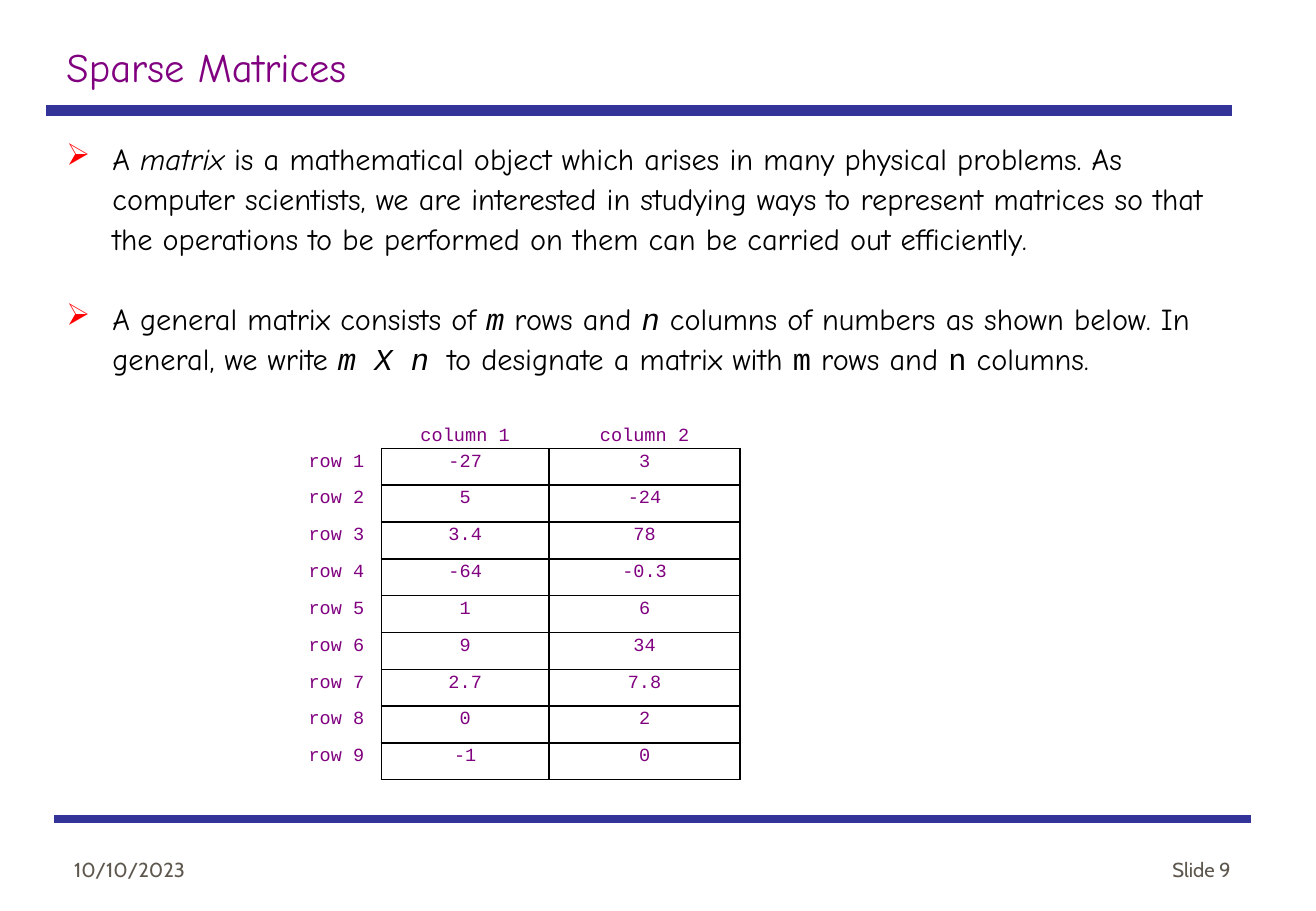
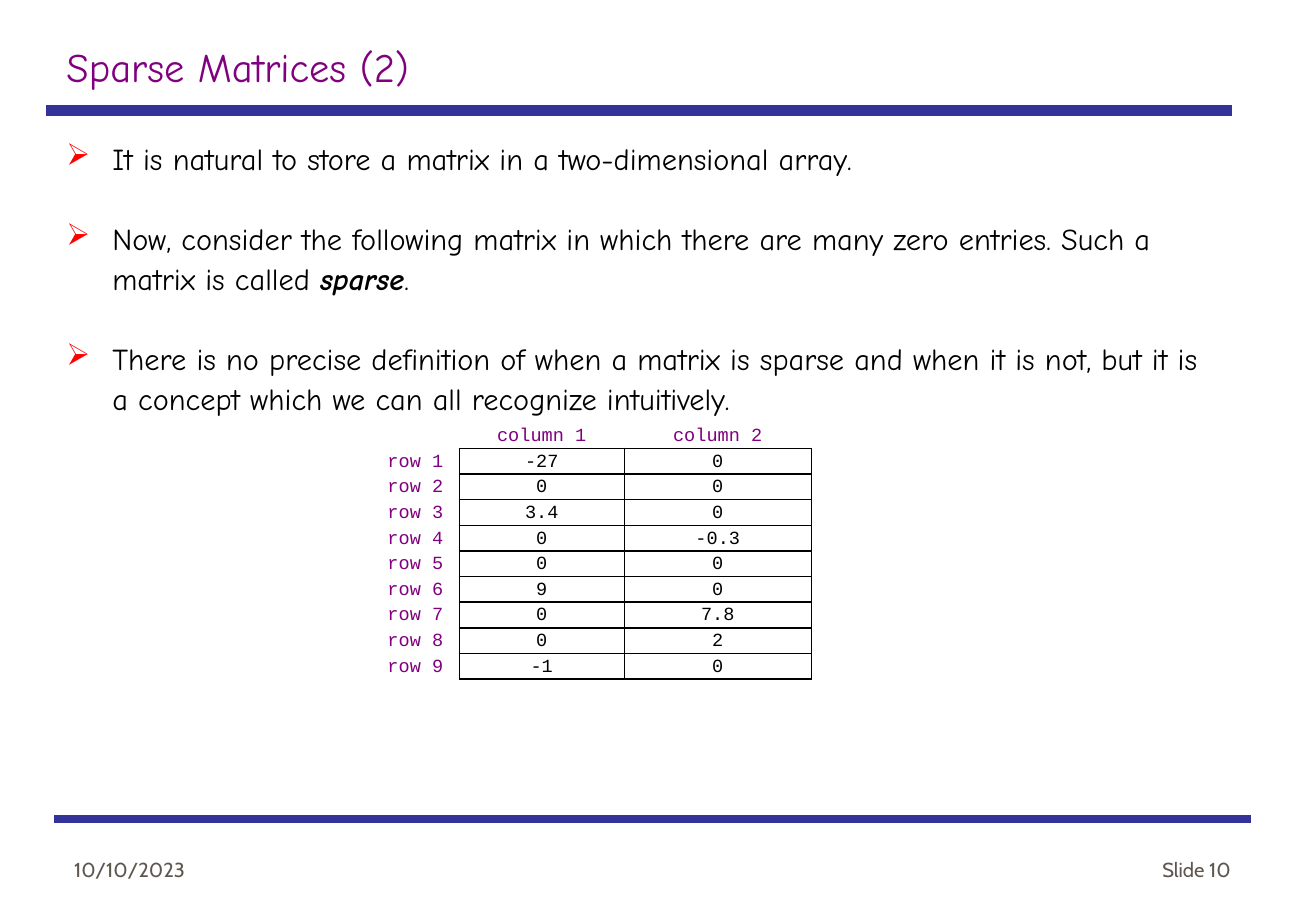
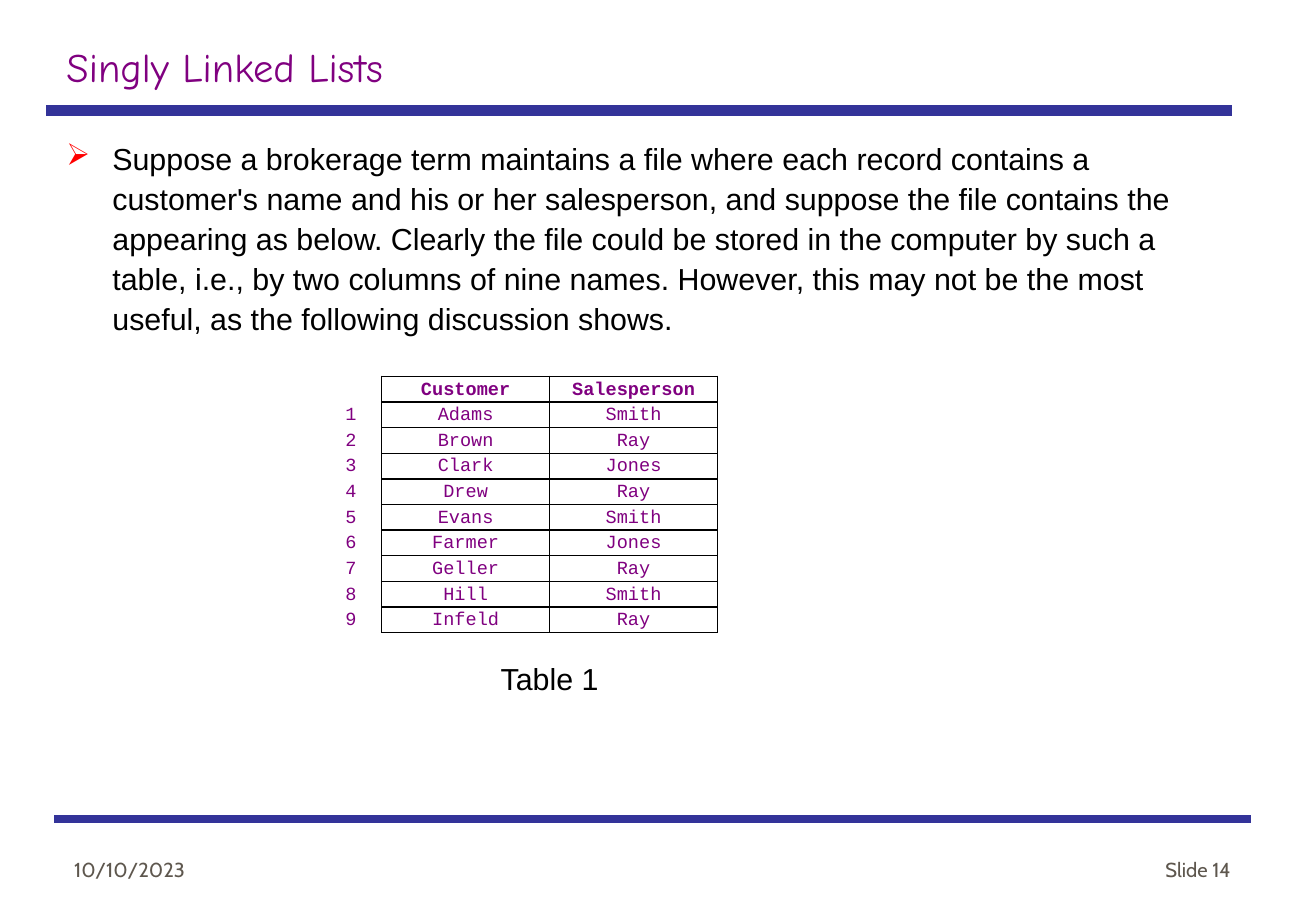
from dataclasses import dataclass
from typing import Any, NamedTuple

from lxml.etree import SubElement
from pptx import Presentation
from pptx.dml.color import RGBColor
from pptx.enum.shapes import MSO_CONNECTOR
from pptx.enum.text import MSO_ANCHOR, PP_ALIGN
from pptx.oxml import parse_xml
from pptx.oxml.ns import nsdecls, qn
from pptx.util import Cm, Pt

PURPLE = RGBColor(0x80, 0x00, 0x80)
BLACK = RGBColor(0x00, 0x00, 0x00)
BLUE = RGBColor(0x33, 0x33, 0x99)
GREY = RGBColor(0x5E, 0x57, 0x4E)
RED = RGBColor(0xFF, 0x00, 0x00)

HAND = "Comic Neue"
MONO = "Courier New"
SANS = "Arial"

TITLE = {"name": HAND, "size": Pt(24), "color": PURPLE}
BODY = {"name": HAND, "size": Pt(18), "color": BLACK}
FOOTER = {"name": "Cabin", "size": Pt(12), "color": GREY}
CELL = {"name": MONO, "size": Pt(11), "bold": False, "color": PURPLE}

BODY_LINE = Pt(23.75)
BULLET_INDENT = Cm(0.96)
DATE = "10/10/2023"


class Area(NamedTuple):
    left: float
    top: float
    width: float
    height: float


class Rule(NamedTuple):
    left: float
    right: float
    top: float
    weight: float


class Span(NamedTuple):
    text: str
    style: dict[str, Any] = {}


TITLE_AREA = Area(1.14, 0.75, 23.4, 1.27)
BODY_AREA = Area(1.14, 2.72, 24.6, 10)
DATE_AREA = Area(1.3, 17.3, 5.74, 1.27)
NUMBER_AREA = Area(20.24, 17.3, 5.74, 1.27)
RULES = [Rule(0.97, 25.76, 2.31, 6), Rule(1.14, 26.16, 17.12, 4.5)]

ITALIC_MONO = {"name": MONO, "italic": True}


@dataclass
class Grid:
    left: float
    top: float
    widths: list[float]
    rows: list[list[str]]
    row_height: float = 0.51
    header_framed: bool = False
    value_color: RGBColor = PURPLE


@dataclass
class Topic:
    number: int
    title: str
    bullets: list[list[Span]]
    grid: Grid
    caption: str = ""


def numbered(header: list[str], prefix: str, pairs: list[tuple[str, str]]) -> list[list[str]]:
    return [["", *header]] + [[f"{prefix}{row}", *pair] for row, pair in enumerate(pairs, 1)]


COLUMNS = ["column 1", "column 2"]

TOPICS = [
    Topic(
        9,
        "Sparse Matrices",
        [
            [
                Span("A "),
                Span("matrix", {"italic": True}),
                Span(" is a mathematical object which arises in many physical problems. "
                     "As computer scientists, we are interested in studying ways to represent "
                     "matrices so that the operations to be performed on them can be carried "
                     "out efficiently."),
            ],
            [
                Span("A general matrix consists of "),
                Span("m", ITALIC_MONO),
                Span(" rows and "),
                Span("n", ITALIC_MONO),
                Span(" columns of numbers as shown below. In general, we write "),
                Span("m X n ", ITALIC_MONO),
                Span("to designate a matrix with "),
                Span("m", {"name": MONO}),
                Span(" rows and "),
                Span("n", {"name": MONO}),
                Span(" columns."),
            ],
        ],
        Grid(6.27, 8.84, [1.7, 3.51, 3.99], numbered(COLUMNS, "row ", [
            ("-27", "3"), ("5", "-24"), ("3.4", "78"), ("-64", "-0.3"), ("1", "6"),
            ("9", "34"), ("2.7", "7.8"), ("0", "2"), ("-1", "0"),
        ]), row_height=0.77),
    ),
    Topic(
        10,
        "Sparse Matrices (2)",
        [
            [Span("It is natural to store a matrix in a two-dimensional array.")],
            [
                Span("Now, consider the following matrix in which there are many zero "
                     "entries. Such a matrix is called "),
                Span("sparse", {"bold": True, "italic": True}),
                Span("."),
            ],
            [Span("There is no precise definition of when a matrix is sparse and when it is "
                  "not, but it is a concept which we can all recognize intuitively.")],
        ],
        Grid(7.92, 8.84, [1.68, 3.45, 3.91], numbered(COLUMNS, "row ", [
            ("-27", "0"), ("0", "0"), ("3.4", "0"), ("0", "-0.3"), ("0", "0"),
            ("9", "0"), ("0", "7.8"), ("0", "2"), ("-1", "0"),
        ]), value_color=BLACK),
    ),
    Topic(
        14,
        "Singly Linked Lists",
        [
            [Span("Suppose a brokerage term maintains a file where each record contains a "
                  "customer's name and his or her salesperson, and suppose the file contains "
                  "the appearing as below. Clearly the file could be stored in the computer "
                  "by such a table, i.e., by two columns of nine names. However, this may not "
                  "be the most useful, as the following discussion shows.", {"name": SANS})],
        ],
        Grid(7.04, 7.87, [0.94, 3.51, 3.51], numbered(["Customer", "Salesperson"], "", [
            ("Adams", "Smith"), ("Brown", "Ray"), ("Clark", "Jones"), ("Drew", "Ray"),
            ("Evans", "Smith"), ("Farmer", "Jones"), ("Geller", "Ray"), ("Hill", "Smith"),
            ("Infeld", "Ray"),
        ]), header_framed=True),
        "Table 1",
    ),
]


def add_span(para: Any, text: str, style: dict[str, Any]) -> None:
    span = para.add_run()
    span.text = text
    for name, value in style.items():
        if name == "color":
            span.font.color.rgb = value
        else:
            setattr(span.font, name, value)


def add_box(page: Any, area: Area, anchor: MSO_ANCHOR = MSO_ANCHOR.TOP) -> Any:
    frame = page.shapes.add_textbox(*map(Cm, area)).text_frame
    frame.word_wrap = True
    frame.vertical_anchor = anchor
    return frame


def add_label(page: Any, area: Area, text: str, style: dict[str, Any],
              align: PP_ALIGN = PP_ALIGN.LEFT) -> None:
    para = add_box(page, area, MSO_ANCHOR.BOTTOM).paragraphs[0]
    para.alignment = align
    add_span(para, text, style)


def add_rule(page: Any, rule: Rule) -> None:
    line = page.shapes.add_connector(
        MSO_CONNECTOR.STRAIGHT, Cm(rule.left), Cm(rule.top), Cm(rule.right), Cm(rule.top))
    line.line.color.rgb = BLUE
    line.line.width = Pt(rule.weight)
    SubElement(line._element.spPr, qn("a:effectLst"))


def set_bullet(para: Any) -> None:
    properties = para._p.get_or_add_pPr()
    properties.set("marL", str(BULLET_INDENT))
    properties.set("indent", str(-BULLET_INDENT))
    color = SubElement(properties, qn("a:buClr"))
    SubElement(color, qn("a:srgbClr")).set("val", str(RED))
    SubElement(properties, qn("a:buChar")).set("char", "➢")


def add_bullets(page: Any, bullets: list[list[Span]]) -> None:
    frame = add_box(page, BODY_AREA)
    for index, spans in enumerate(bullets):
        para = frame.add_paragraph() if index else frame.paragraphs[0]
        set_bullet(para)
        para.line_spacing = BODY_LINE
        if index:
            para.space_before = BODY_LINE
        for span in spans:
            add_span(para, span.text, BODY | span.style)


def set_borders(cell: Any, drawn: dict[str, bool]) -> None:
    properties = cell._tc.get_or_add_tcPr()
    for index, (side, visible) in enumerate(drawn.items()):
        fill = f'<a:solidFill><a:srgbClr val="{BLACK}"/></a:solidFill>' if visible else "<a:noFill/>"
        properties.insert(index, parse_xml(
            f'<a:ln{side} {nsdecls("a")} w="{Pt(1)}">{fill}</a:ln{side}>'))


def add_grid(page: Any, grid: Grid) -> None:
    count = len(grid.rows)
    first_framed = 0 if grid.header_framed else 1
    heights = [0.51] + [grid.row_height] * (count - 1)
    table = page.shapes.add_table(
        count, len(grid.widths), Cm(grid.left), Cm(grid.top),
        Cm(sum(grid.widths)), Cm(sum(heights))).table
    table.first_row = table.horz_banding = False
    for column, width in zip(table.columns, grid.widths):
        column.width = Cm(width)
    for row, height in zip(table.rows, heights):
        row.height = Cm(height)

    def framed(row: int, column: int) -> bool:
        return first_framed <= row < count and 1 <= column < len(grid.widths)

    for row, texts in enumerate(grid.rows):
        for column, text in enumerate(texts):
            cell = table.cell(row, column)
            margins = {"margin_left": Cm(0.18), "margin_right": Cm(0.18),
                       "margin_top": 0, "margin_bottom": 0}
            for name, value in margins.items():
                setattr(cell, name, value)
            cell.fill.background()
            here = framed(row, column)
            set_borders(cell, {
                "L": here or framed(row, column - 1),
                "R": here or framed(row, column + 1),
                "T": here or framed(row - 1, column),
                "B": here or framed(row + 1, column),
            })
            para = cell.text_frame.paragraphs[0]
            para.alignment = PP_ALIGN.CENTER if column else PP_ALIGN.LEFT
            para.line_spacing = 1.15
            if text:
                color = grid.value_color if row and column else PURPLE
                bold = grid.header_framed and row == 0
                add_span(para, text, CELL | {"color": color, "bold": bold})
            else:
                SubElement(para._p, qn("a:endParaRPr")).set("sz", "1100")


def add_caption(page: Any, grid: Grid, text: str) -> None:
    label_width, *value_widths = grid.widths
    area = Area(grid.left + label_width, 13.61, sum(value_widths), 1.1)
    para = add_box(page, area).paragraphs[0]
    para.alignment = PP_ALIGN.CENTER
    para.line_spacing = BODY_LINE
    add_span(para, text, BODY | {"name": SANS})


def add_topic(deck: Any, topic: Topic) -> None:
    page = deck.slides.add_slide(deck.slide_layouts[6])
    for rule in RULES:
        add_rule(page, rule)
    add_label(page, TITLE_AREA, topic.title, TITLE)
    add_bullets(page, topic.bullets)
    add_label(page, DATE_AREA, DATE, FOOTER)
    add_label(page, NUMBER_AREA, f"Slide {topic.number}", FOOTER, PP_ALIGN.RIGHT)
    add_grid(page, topic.grid)
    if topic.caption:
        add_caption(page, topic.grid, topic.caption)


def main() -> None:
    deck = Presentation()
    deck.slide_width = Cm(27.51)
    deck.slide_height = Cm(19.05)
    for topic in TOPICS:
        add_topic(deck, topic)
    deck.save("out.pptx")


if __name__ == "__main__":
    main()
